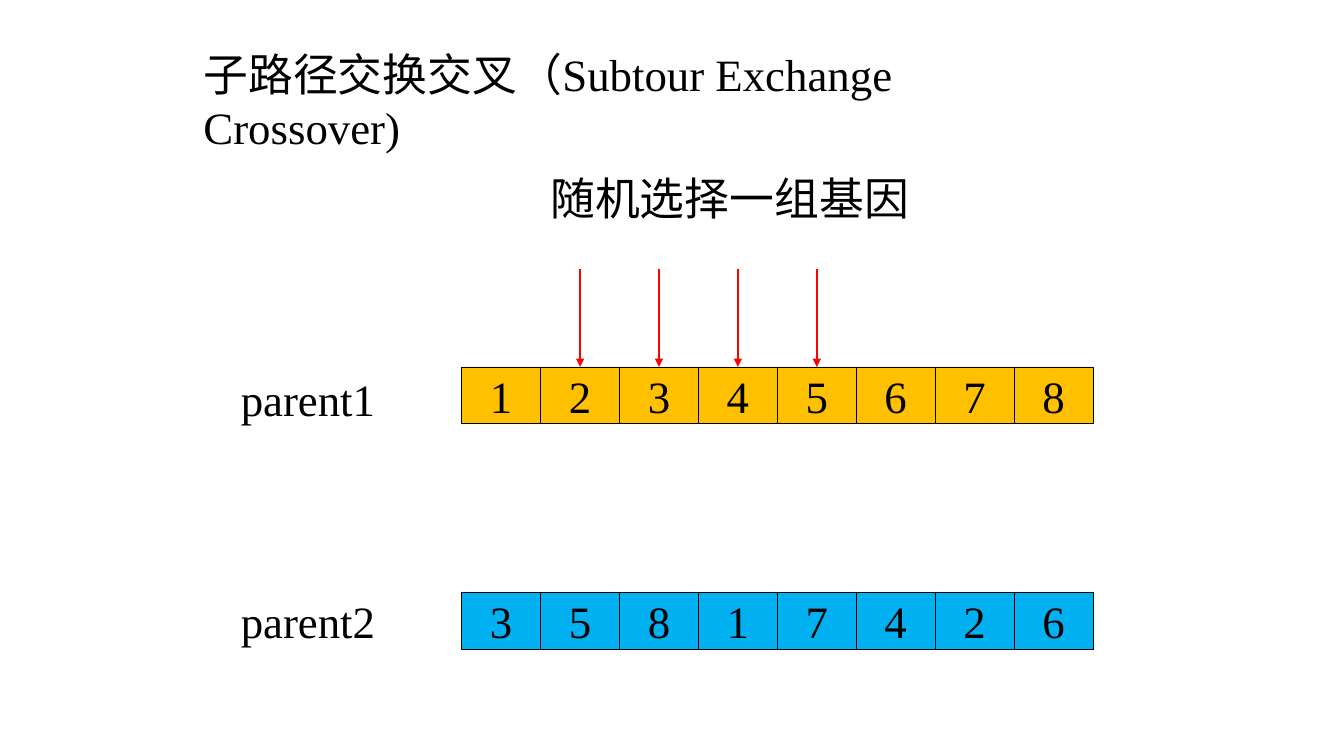
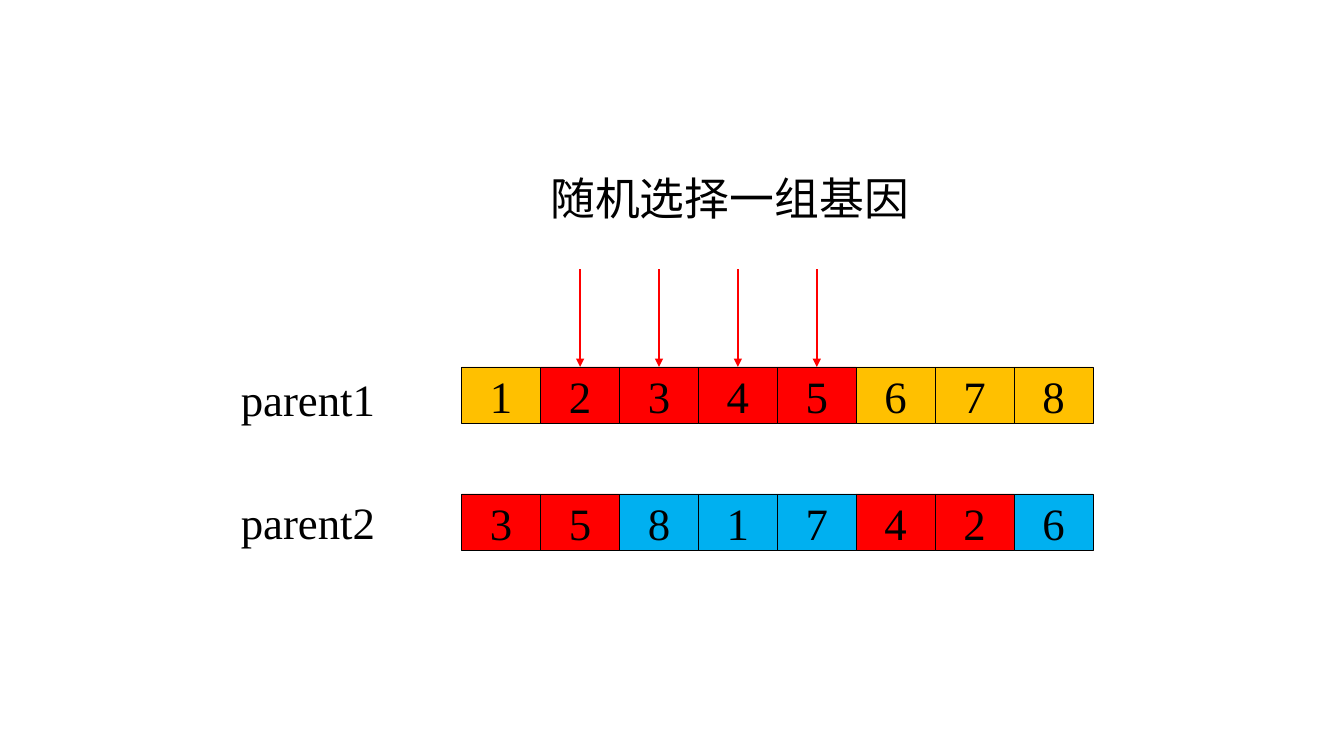
from dataclasses import dataclass

from lxml.etree import SubElement
from pptx import Presentation
from pptx.dml.color import RGBColor as RGB
from pptx.enum.shapes import MSO_CONNECTOR as LINK, MSO_SHAPE as SHAPE
from pptx.enum.text import MSO_ANCHOR as ANCHOR, PP_ALIGN as ALIGN
from pptx.oxml.ns import qn
from pptx.util import Inches, Pt


@dataclass(frozen=True)
class Theme:
    font: str = "Times New Roman"
    size: Pt = Pt(32)
    ink: RGB = RGB(0x00, 0x00, 0x00)
    parent1: RGB = RGB(0xFF, 0xC0, 0x00)
    parent2: RGB = RGB(0x00, 0xB0, 0xF0)
    chosen: RGB = RGB(0xFF, 0x00, 0x00)
    border: Pt = Pt(0.5)
    arrow: Pt = Pt(1.5)


theme = Theme()
GENES_LEFT, GENES_WIDTH, GENE_COUNT = Inches(4.58), Inches(6.26), 8
GENE_WIDTH, GENE_HEIGHT = GENES_WIDTH // GENE_COUNT, Inches(0.56)
LABEL_LEFT, LABEL_WIDTH, LABEL_HEIGHT = Inches(2.29), Inches(1.66), Inches(0.64)
LABEL_RISE = Inches(0.04)
ARROW_TOP, PARENT1_TOP = Inches(2.67), Inches(3.64)

PARENT1 = [1, 2, 3, 4, 5, 6, 7, 8]
PARENT2 = [3, 5, 8, 1, 7, 4, 2, 6]
SUBTOUR = {2, 3, 4, 5}


def write(shape, text, align=ALIGN.LEFT):
    paragraph = shape.text_frame.paragraphs[0]
    paragraph.text = text
    paragraph.alignment = align
    font = paragraph.font
    font.name, font.size, font.color.rgb = theme.font, theme.size, theme.ink


def add_label(slide, text, left, top, width):
    label = slide.shapes.add_textbox(left, top, width, LABEL_HEIGHT)
    label.text_frame.word_wrap = True
    write(label, text)


deck = Presentation()
deck.slide_width, deck.slide_height = Inches(13.33), Inches(7.5)

steps = [
    ("子路径交换交叉（Subtour Exchange Crossover)", Inches(5.88), set()),
    (None, Inches(4.9), SUBTOUR),
]

for title, parent2_top, highlighted in steps:
    slide = deck.slides.add_slide(deck.slide_layouts[6])
    if title:
        add_label(slide, title, Inches(1.92), Inches(0.41), Inches(9))
    add_label(slide, "随机选择一组基因", Inches(5.36), Inches(1.64), Inches(3.9))

    parents = [
        ("parent1", PARENT1, PARENT1_TOP, PARENT1_TOP, theme.parent1),
        ("parent2", PARENT2, parent2_top, parent2_top - LABEL_RISE, theme.parent2),
    ]
    for parent, genes, top, label_top, colour in parents:
        add_label(slide, parent, LABEL_LEFT, label_top, LABEL_WIDTH)
        for column, gene in enumerate(genes):
            left = GENES_LEFT + column * GENE_WIDTH
            cell = slide.shapes.add_shape(SHAPE.RECTANGLE, left, top, GENE_WIDTH, GENE_HEIGHT)
            cell.shadow.inherit = False
            cell.fill.solid()
            cell.fill.fore_color.rgb = theme.chosen if gene in highlighted else colour
            cell.line.color.rgb, cell.line.width = theme.ink, theme.border
            cell.text_frame.vertical_anchor = ANCHOR.MIDDLE
            write(cell, str(gene), ALIGN.CENTER)

            if genes is PARENT1 and gene in SUBTOUR:
                middle = left + GENE_WIDTH // 2
                arrow = slide.shapes.add_connector(LINK.STRAIGHT, middle, ARROW_TOP, middle, top)
                arrow.end_connect(cell, 0)
                arrow.line.color.rgb, arrow.line.width = theme.chosen, theme.arrow
                SubElement(arrow.line._get_or_add_ln(), qn("a:tailEnd"), type="triangle")
                SubElement(arrow._element.spPr, qn("a:effectLst"))

deck.save("out.pptx")
